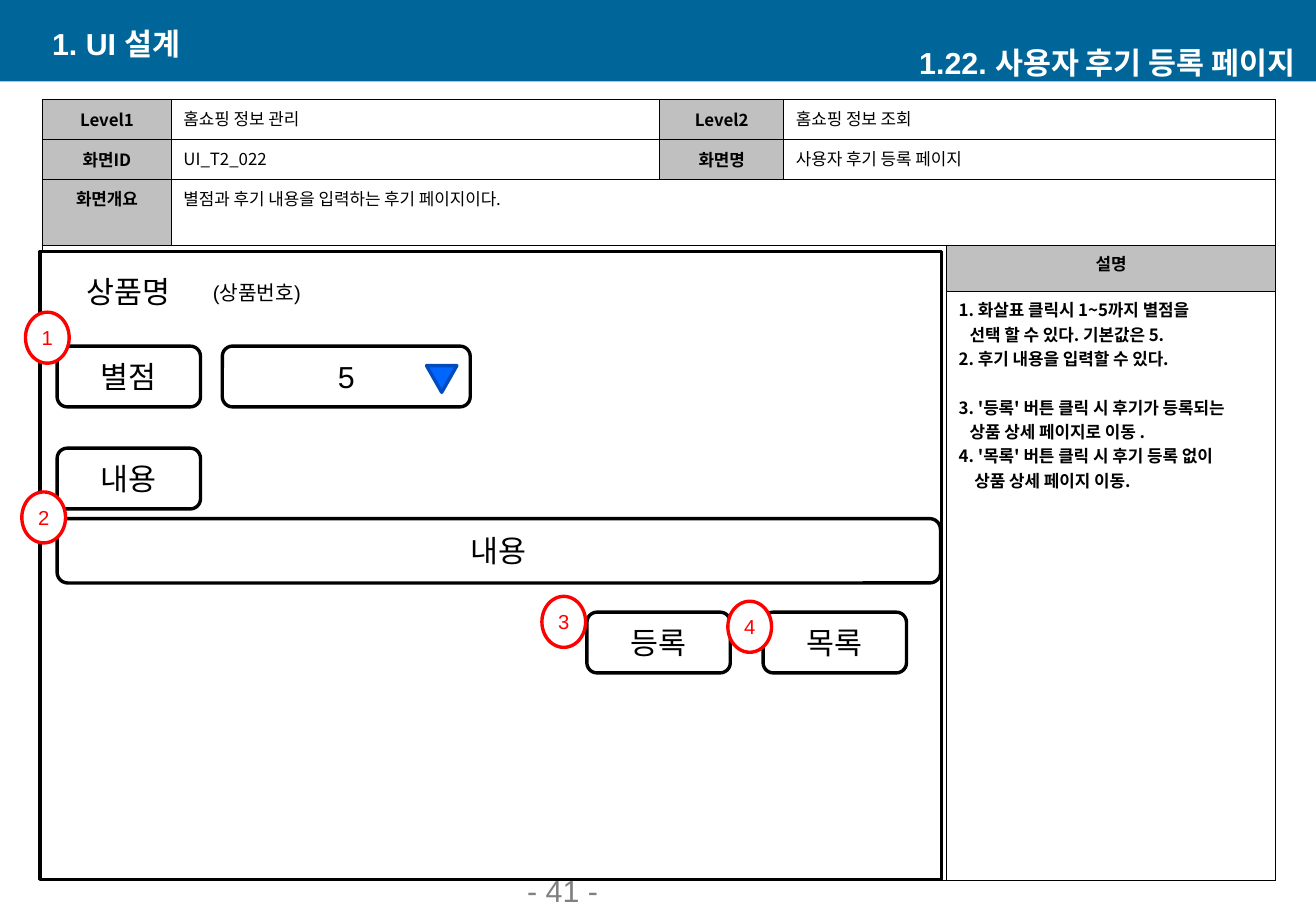
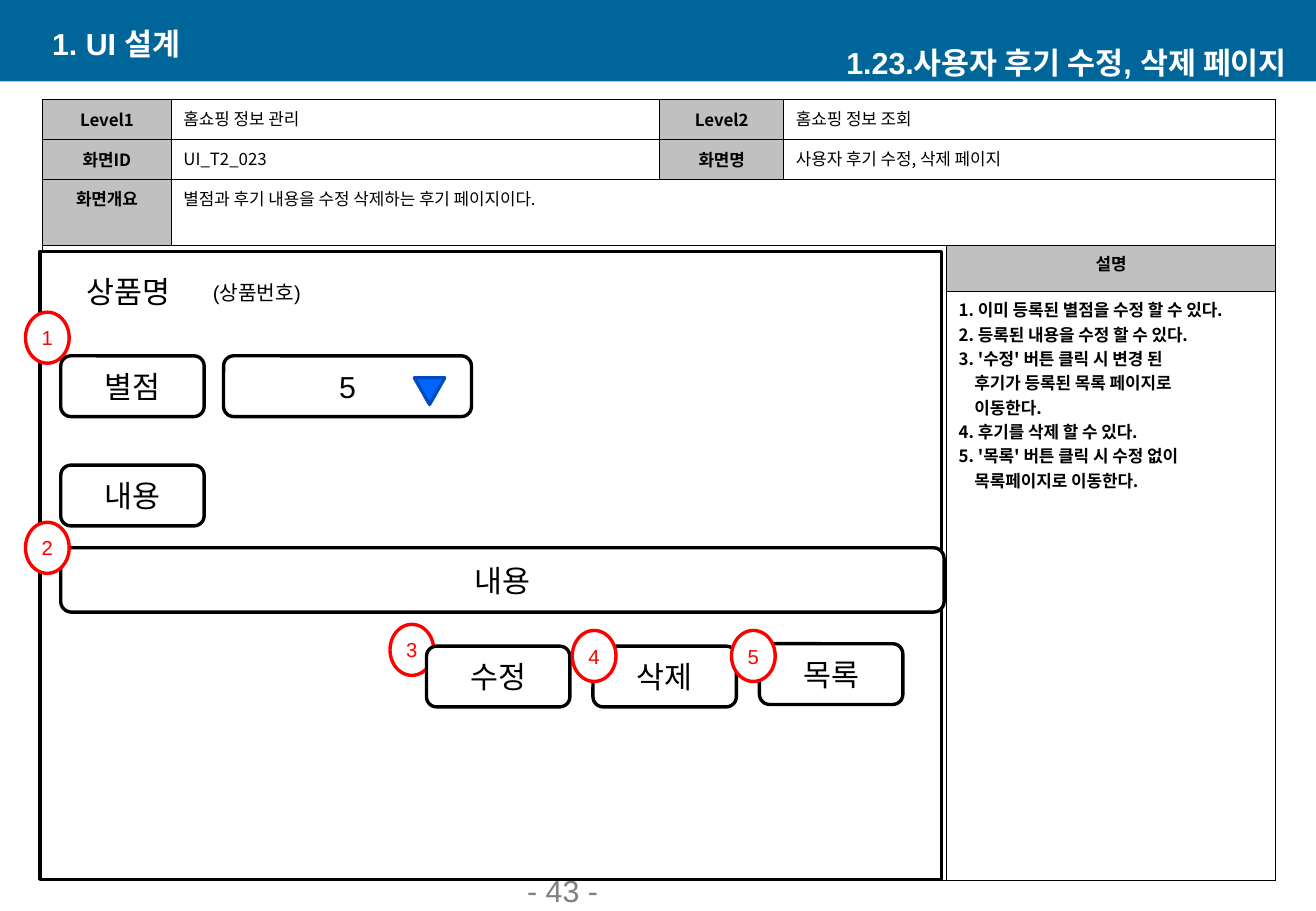
from lxml import etree
from pptx import Presentation
from pptx import util as u
from pptx.dml.color import RGBColor
from pptx.enum import shapes, text
from pptx.oxml import ns

WIDTH, HEIGHT = 10.83, 7.5
BLUE = RGBColor(0x00, 0x66, 0x99)
WHITE = RGBColor(0xFF, 0xFF, 0xFF)
BLACK = RGBColor(0x00, 0x00, 0x00)
SILVER = RGBColor(0xC0, 0xC0, 0xC0)
GRAY = RGBColor(0x80, 0x80, 0x80)
RED = RGBColor(0xFF, 0x00, 0x00)
ARROW_FILL = RGBColor(0x00, 0x66, 0xFF)
ARROW_LINE = RGBColor(0x00, 0x4B, 0xBD)

LATIN, KOREAN = "Arial", "Noto Sans CJK KR"
CENTER, LEFT, RIGHT = text.PP_ALIGN.CENTER, text.PP_ALIGN.LEFT, text.PP_ALIGN.RIGHT
TOP, MIDDLE, BOTTOM = text.MSO_ANCHOR.TOP, text.MSO_ANCHOR.MIDDLE, text.MSO_ANCHOR.BOTTOM
PRESET = shapes.MSO_SHAPE

# Boxes are left, top, width, height in inches
BAND = (0, 0, WIDTH, 0.67)
TABLE = (0.35, 0.82, 10.14, 6.43)
MOCKUP = (0.33, 2.07, 7.42, 5.17)
COLUMNS = (1.06, 4.02, 1.02, 1.34, 2.71)
ROWS = (0.33, 0.33, 0.54, 0.38, 4.85)
LINE_PITCH = 14.4

# Kind of part: preset, width, height, fill, line, line width, text size, text colour
PARTS = {
    "button": (PRESET.ROUNDED_RECTANGLE, 1.18, 0.5, WHITE, BLACK, 2, 18, BLACK),
    "picker": (PRESET.ROUNDED_RECTANGLE, 2.04, 0.5, WHITE, BLACK, 2, 18, BLACK),
    "area": (PRESET.ROUNDED_RECTANGLE, 7.27, 0.53, WHITE, BLACK, 2, 18, BLACK),
    "name": (PRESET.ROUNDED_RECTANGLE, 1.18, 0.5, WHITE, None, 0, 18, BLACK),
    "number": (PRESET.RECTANGLE, 1.17, 0.31, WHITE, WHITE, 0.75, 12, BLACK),
    "badge": (PRESET.OVAL, 0.36, 0.42, WHITE, RED, 2, 12, RED),
    "arrow": (PRESET.ISOSCELES_TRIANGLE, 0.25, 0.22, ARROW_FILL, ARROW_LINE, 2, 12, WHITE),
}

# Parts are placed from the mockup's top left corner, from back to front.
# A note is its text, its left indent and the lines left free above it.
PAGES = [
    {
        "title": "1.22. 사용자 후기 등록 페이지",
        "title_inset": 0.17,
        "number": "- 41 -",
        "id": "UI_T2_022",
        "name": "사용자 후기 등록 페이지",
        "summary": "별점과 후기 내용을 입력하는 후기 페이지이다.",
        "notes": [
            ("1. 화살표 클릭시 1~5까지 별점을", 0, 0),
            ("선택 할 수 있다. 기본값은 5.", 0.09, 0),
            ("2. 후기 내용을 입력할 수 있다.", 0, 0),
            ("3. '등록' 버튼 클릭 시 후기가 등록되는", 0, 1),
            ("상품 상세 페이지로 이동 .", 0.09, 0),
            ("4. '목록' 버튼 클릭 시 후기 등록 없이", 0, 0),
            ("상품 상세 페이지 이동.", 0.13, 0),
        ],
        "parts": [
            ("button", "별점", 0.14, 0.78),
            ("button", "내용", 0.14, 1.62),
            ("picker", "5", 1.5, 0.78),
            ("area", "내용", 0.14, 2.2),
            ("button", "등록", 4.5, 2.97),
            ("button", "목록", 5.95, 2.97),
            ("arrow", "", 3.18, 0.94),
            ("badge", "1", -0.12, 0.5),
            ("badge", "2", -0.15, 1.98),
            ("badge", "3", 4.13, 2.84),
            ("badge", "4", 5.66, 2.88),
        ],
    },
    {
        "title": "1.23.사용자 후기 수정, 삭제 페이지",
        "title_inset": 0.24,
        "number": "- 43 -",
        "id": "UI_T2_023",
        "name": "사용자 후기 수정, 삭제 페이지",
        "summary": "별점과 후기 내용을 수정 삭제하는 후기 페이지이다.",
        "notes": [
            ("1. 이미 등록된 별점을 수정 할 수 있다.", 0, 0),
            ("2. 등록된 내용을 수정 할 수 있다.", 0, 0),
            ("3. '수정' 버튼 클릭 시 변경 된", 0, 0),
            ("후기가 등록된 목록 페이지로", 0.13, 0),
            ("이동한다.", 0.13, 0),
            ("4. 후기를 삭제 할 수 있다.", 0, 0),
            ("5. '목록' 버튼 클릭 시 수정 없이", 0, 0),
            ("목록페이지로 이동한다.", 0.13, 0),
        ],
        "parts": [
            ("button", "별점", 0.17, 0.86),
            ("button", "내용", 0.17, 1.76),
            ("picker", "5", 1.51, 0.86),
            ("area", "내용", 0.17, 2.44),
            ("button", "목록", 5.92, 3.23),
            ("arrow", "", 3.08, 1.04),
            ("badge", "1", -0.12, 0.5),
            ("badge", "2", -0.12, 2.23),
            ("badge", "3", 2.88, 3.07),
            ("button", "수정", 3.18, 3.25),
            ("button", "삭제", 4.55, 3.25),
            ("badge", "4", 4.38, 3.12),
            ("badge", "5", 5.69, 3.12),
        ],
    },
]


def inches(values):
    return [u.Inches(value) for value in values]


def write(paragraph, words, size=18, color=BLACK, bold=False, align=LEFT, font=LATIN):
    """Add a formatted run to a paragraph."""
    paragraph.alignment = align
    run = paragraph.add_run()
    run.text = words
    run.font.size = u.Pt(size)
    run.font.bold = bold
    run.font.color.rgb = color
    run.font.name = font
    etree.SubElement(run.font._element, ns.qn("a:ea"), typeface=KOREAN)


def add_label(slide, box, words, anchor=MIDDLE, right_inset=0.1, **style):
    frame = slide.shapes.add_textbox(*inches(box)).text_frame
    frame.word_wrap = True
    frame.vertical_anchor = anchor
    frame.margin_right = u.Inches(right_inset)
    write(frame.paragraphs[0], words, **style)


def add_block(slide, preset, box, fill, line=None, line_width=0):
    shape = slide.shapes.add_shape(preset, *inches(box))
    shape.shadow.inherit = False
    shape.fill.solid()
    shape.fill.fore_color.rgb = fill
    if line is None:
        shape.line.fill.background()
    else:
        shape.line.color.rgb = line
        shape.line.width = u.Pt(line_width)
    return shape


def add_header(slide, box, page):
    """Blue band with the section on the left and the page title on the right."""
    left, top, width, height = box
    add_block(slide, PRESET.RECTANGLE, box, BLUE)
    add_label(slide, (left + 0.33, top + 0.19, 4.38, 0.33), "1. UI 설계",
              color=WHITE, bold=True)
    add_label(slide, (left + width - 4.38, top + height - 0.32, 4.38, 0.33), page["title"],
              right_inset=page["title_inset"], color=WHITE, bold=True, align=RIGHT)


def set_borders(cell):
    properties = cell._tc.get_or_add_tcPr()
    for side in ("lnL", "lnR", "lnT", "lnB"):
        border = etree.SubElement(properties, ns.qn(f"a:{side}"), w=str(u.Pt(1)))
        fill = etree.SubElement(border, ns.qn("a:solidFill"))
        etree.SubElement(fill, ns.qn("a:srgbClr"), val=str(BLACK))


def fill_cell(cell, words, heading=False, anchor=TOP):
    if heading:
        cell.fill.solid()
        cell.fill.fore_color.rgb = SILVER
    cell.vertical_anchor = anchor
    write(cell.text_frame.paragraphs[0], words, size=10, bold=heading,
          align=CENTER if heading else LEFT, font=KOREAN)


def add_notes(cell, notes):
    frame = cell.text_frame
    for index, (words, indent, free_lines) in enumerate(notes):
        paragraph = frame.add_paragraph() if index else frame.paragraphs[0]
        if indent:
            paragraph._p.get_or_add_pPr().set("marL", str(u.Inches(indent)))
        if free_lines:
            paragraph.space_before = u.Pt(free_lines * LINE_PITCH)
        write(paragraph, words, size=10, bold=True, font=KOREAN)


def add_spec_table(slide, box, page):
    """Screen data on top, description column on the right."""
    table = slide.shapes.add_table(len(ROWS), len(COLUMNS), *inches(box)).table
    table.first_row = table.horz_banding = False
    for column, width in zip(table.columns, COLUMNS):
        column.width = u.Inches(width)
    for row, height in zip(table.rows, ROWS):
        row.height = u.Inches(height)
    for cell in table.iter_cells():
        set_borders(cell)
        cell.fill.background()
    for first, last in (((0, 3), (0, 4)), ((1, 3), (1, 4)),
                        ((2, 1), (2, 4)), ((3, 0), (4, 3))):
        table.cell(*first).merge(table.cell(*last))

    headings = {(0, 0): "Level1", (0, 2): "Level2", (1, 0): "화면ID",
                (1, 2): "화면명", (2, 0): "화면개요", (3, 4): "설명"}
    values = {(0, 1): "홈쇼핑 정보 관리", (0, 3): "홈쇼핑 정보 조회",
              (1, 1): page["id"], (1, 3): page["name"], (2, 1): page["summary"]}
    for place, words in headings.items():
        fill_cell(table.cell(*place), words, heading=True,
                  anchor=MIDDLE if place[0] < 2 else TOP)
    for place, words in values.items():
        fill_cell(table.cell(*place), words)
    add_notes(table.cell(4, 4), page["notes"])


def add_part(slide, origin, kind, words, x, y):
    preset, width, height, fill, line, line_width, size, color = PARTS[kind]
    box = (origin[0] + x, origin[1] + y, width, height)
    shape = add_block(slide, preset, box, fill, line, line_width)
    if kind == "arrow":
        shape.rotation = 180
    if words:
        frame = shape.text_frame
        frame.word_wrap = True
        frame.vertical_anchor = MIDDLE
        frame.margin_left = frame.margin_right = 0
        write(frame.paragraphs[0], words, size=size, color=color, align=CENTER)


def add_mockup(slide, box, page):
    """Framed sketch of the screen with numbered badges."""
    add_block(slide, PRESET.RECTANGLE, box, WHITE, BLACK, 2)
    product = [("name", "상품명", 0.14, 0.08), ("number", "(상품번호)", 1.2, 0.18)]
    for part in product + page["parts"]:
        add_part(slide, box[:2], *part)


def main():
    presentation = Presentation()
    presentation.slide_width = u.Inches(WIDTH)
    presentation.slide_height = u.Inches(HEIGHT)
    for page in PAGES:
        slide = presentation.slides.add_slide(presentation.slide_layouts[6])
        add_header(slide, BAND, page)
        add_label(slide, (4.24, 7.3, 2.26, 0.23), page["number"], anchor=BOTTOM, color=GRAY)
        add_spec_table(slide, TABLE, page)
        add_mockup(slide, MOCKUP, page)
    presentation.save("out.pptx")


if __name__ == "__main__":
    main()
